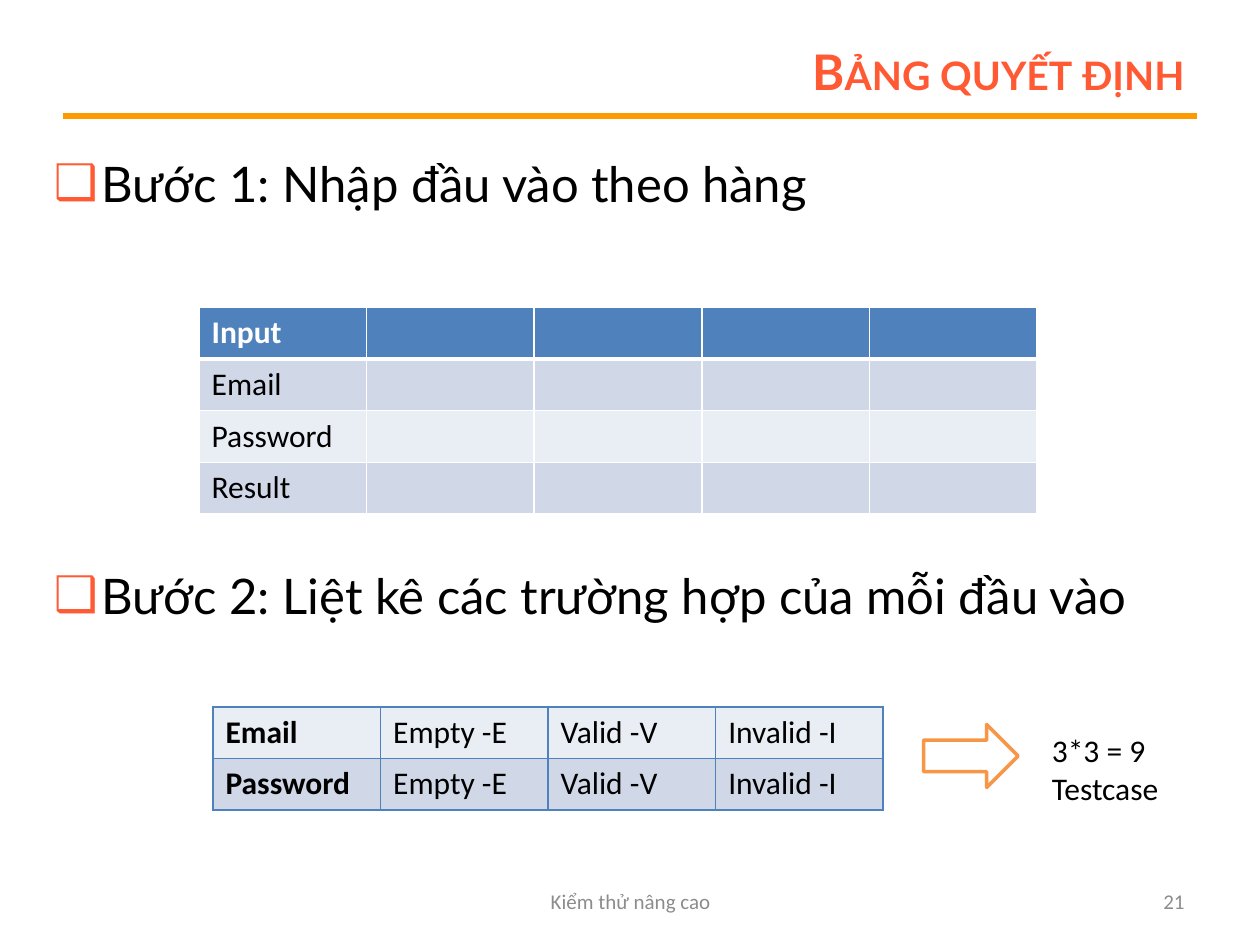
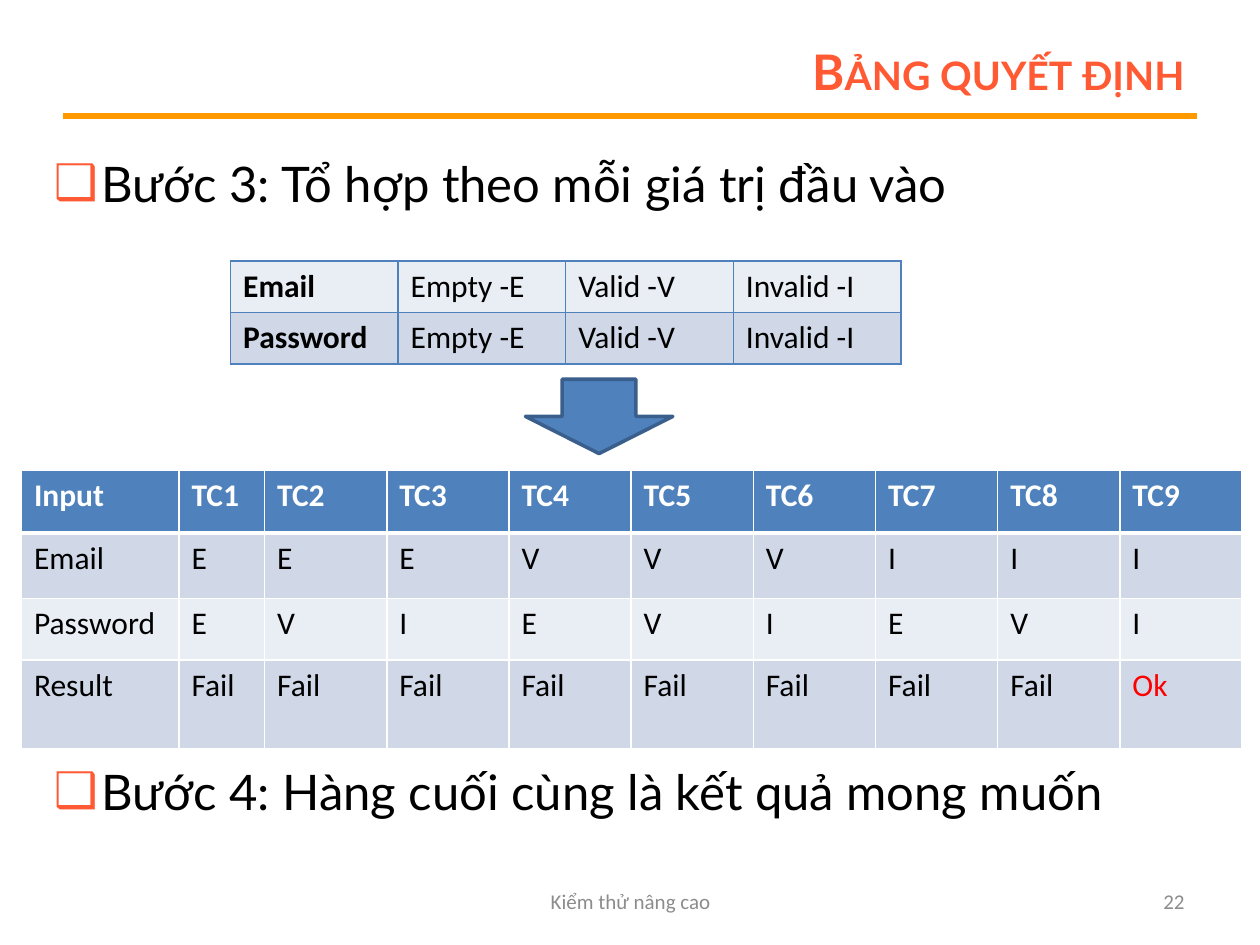
import pptx
import pptx.util
import pptx.dml.color
import pptx.enum.shapes
import pptx.enum.text
import pptx.oxml.ns
from lxml import etree

Inches, Pt = pptx.util.Inches, pptx.util.Pt
RGBColor = pptx.dml.color.RGBColor
Align = pptx.enum.text.PP_ALIGN
Anchor = pptx.enum.text.MSO_ANCHOR
Shape = pptx.enum.shapes.MSO_SHAPE

CORAL = RGBColor(0xFF, 0x5A, 0x33)
ORANGE = RGBColor(0xFF, 0x99, 0x00)
ARROW_ORANGE = RGBColor(0xF7, 0x96, 0x46)
BLUE = RGBColor(0x4F, 0x81, 0xBD)
DARK_BLUE = RGBColor(0x3A, 0x5F, 0x8C)
BAND_DARK = RGBColor(0xD0, 0xD8, 0xE8)
BAND_LIGHT = RGBColor(0xE9, 0xED, 0xF4)
GRAY = RGBColor(0x8C, 0x8C, 0x8C)
RED = RGBColor(0xFF, 0x00, 0x00)
BLACK = RGBColor(0, 0, 0)
WHITE = RGBColor(0xFF, 0xFF, 0xFF)

HEADING_FONT, TEXT_FONT = "Lato", "Calibri"
WIDTH, HEIGHT = 10, 7.5
MARGIN = WIDTH / 20
TITLE = "Bảng quyết định"
FOOTER = "Kiểm thử nâng cao"
STEP_SIZE = 28
STEP_GAP = 0.2 * STEP_SIZE
STEP_LINE = 1.2 * STEP_SIZE

INPUTS = ["Email", "Password"]
CASES = ["Empty -E", "Valid -V", "Invalid -I"]
CASE_TABLE = [[name] + CASES for name in INPUTS]
EMPTY_TABLE = [[name] + [""] * 4 for name in ["Input"] + INPUTS + ["Result"]]

CODES = [case[-1] for case in CASES]
PAIRS = [(email, password) for email in CODES for password in CODES]
DECISION_TABLE = [
    ["Input"] + [f"TC{number}" for number in range(1, len(PAIRS) + 1)],
    ["Email"] + [email for email, _ in PAIRS],
    ["Password"] + [password for _, password in PAIRS],
    ["Result"] + ["Ok" if pair == ("I", "I") else "Fail" for pair in PAIRS],
]

COLUMN, ROW = 1.33, 0.41
# Each step: text and the space before it in points
SLIDES = [
    {
        "number": 21,
        "steps": [("Bước 1: Nhập đầu vào theo hàng", STEP_GAP),
                  ("Bước 2: Liệt kê các trường hợp của mỗi đầu vào", 6 * STEP_LINE)],
        "tables": [(1.58, 2.44, EMPTY_TABLE, [COLUMN] * 5, [ROW] * 4, True),
                   (1.69, 5.61, CASE_TABLE, [COLUMN] * 4, [ROW] * 2, False)],
        "arrow": (Shape.RIGHT_ARROW, (7.33, 5.75, 0.75, 0.5), WHITE, ARROW_ORANGE),
        "note": ("3*3 = 9 Testcase", (8.25, 5.75, 1.56, 0.71)),
    },
    {
        "number": 22,
        "steps": [("Bước 3: Tổ hợp theo mỗi giá trị đầu vào", STEP_GAP),
                  ("Bước 4: Hàng cuối cùng là kết quả mong muốn", 313.6)],
        "tables": [(0.17, 3.73, DECISION_TABLE, [1.25, 0.68] + [0.97] * 8,
                    [0.5, 0.52, 0.49, 0.7], True),
                   (1.83, 2.07, CASE_TABLE, [COLUMN] * 4, [ROW] * 2, False)],
        "arrow": (Shape.DOWN_ARROW, (4.17, 3.01, 1.17, 0.59), BLUE, DARK_BLUE),
    },
]


def add_element(parent, tag, **attributes):
    return etree.SubElement(parent, pptx.oxml.ns.qn(tag), **attributes)


def set_font(paragraph, name, size, color, bold=False):
    font = paragraph.font
    font.name, font.size, font.bold = name, Pt(size), bold
    font.color.rgb = color


def add_text(slide, text, box, name, size, color, align=Align.LEFT,
             anchor=Anchor.MIDDLE, bold=False):
    frame = slide.shapes.add_textbox(*map(Inches, box)).text_frame
    frame.word_wrap = True
    frame.vertical_anchor = anchor
    paragraph = frame.paragraphs[0]
    paragraph.text = text
    paragraph.alignment = align
    set_font(paragraph, name, size, color, bold)
    return paragraph


def add_frame(slide, number):
    """Add the title, its rule and the footer."""
    rule = slide.shapes.add_connector(
        pptx.enum.shapes.MSO_CONNECTOR.STRAIGHT,
        *map(Inches, (MARGIN, 0.92, WIDTH - MARGIN, 0.92)))
    rule.line.color.rgb = ORANGE
    rule.line.width = Pt(3)
    add_element(rule._element.spPr, "a:effectLst")

    title = add_text(slide, TITLE, (2.25, 0.3, 7.25, 0.53), HEADING_FONT, 28,
                     CORAL, Align.RIGHT, bold=True)
    title.runs[0].font._element.set("cap", "small")
    for text, left, width, align in [(FOOTER, 3.42, 3.17, Align.CENTER),
                                     (str(number), 7.17, 2.33, Align.RIGHT)]:
        add_text(slide, text, (left, 6.95, width, 0.4), TEXT_FONT, 12, GRAY, align)


def add_steps(slide, steps):
    box = slide.shapes.add_textbox(*map(Inches, (0.33, 1.17, 9.17, 6.18)))
    frame = box.text_frame
    frame.word_wrap = True
    for index, (text, space) in enumerate(steps):
        paragraph = frame.add_paragraph() if index else frame.paragraphs[0]
        paragraph.text = text
        paragraph.space_before = Pt(space)
        properties = paragraph._p.get_or_add_pPr()
        properties.set("marL", str(Inches(0.38)))
        properties.set("indent", str(-Inches(0.38)))
        color = add_element(properties, "a:buClr")
        add_element(color, "a:srgbClr", val=str(CORAL))
        add_element(properties, "a:buFont", typeface="Arial")
        add_element(properties, "a:buChar", char="❑")
        set_font(paragraph, HEADING_FONT, STEP_SIZE, BLACK)


def set_borders(cell, color, top, bottom):
    properties = cell._tc.get_or_add_tcPr()
    for side, width in [("L", 1), ("R", 1), ("T", top), ("B", bottom)]:
        line = add_element(properties, f"a:ln{side}", w=str(Pt(width)))
        fill = add_element(line, "a:solidFill")
        add_element(fill, "a:srgbClr", val=str(color))


def add_grid(slide, left, top, rows, widths, heights, has_header):
    """Add a table whose first row is a header or whose first column is bold."""
    table = slide.shapes.add_table(
        len(rows), len(widths),
        *map(Inches, (left, top, sum(widths), sum(heights)))).table
    table.first_row = has_header
    table.horz_banding = False
    for column, width in zip(table.columns, widths):
        column.width = Inches(width)
    for row_index, (values, height) in enumerate(zip(rows, heights)):
        table.rows[row_index].height = Inches(height)
        is_header = has_header and row_index == 0
        band = BAND_DARK if row_index % 2 else BAND_LIGHT
        for column_index, value in enumerate(values):
            cell = table.cell(row_index, column_index)
            set_borders(cell, WHITE if has_header else BLUE,
                        3 if has_header and row_index == 1 else 1,
                        3 if is_header else 1)
            cell.fill.solid()
            cell.fill.fore_color.rgb = BLUE if is_header else band
            paragraph = cell.text_frame.paragraphs[0]
            paragraph.text = value
            color = WHITE if is_header else RED if value == "Ok" else BLACK
            bold = is_header or (not has_header and column_index == 0)
            set_font(paragraph, TEXT_FONT, 18, color, bold)


def add_arrow(slide, kind, box, fill, line):
    arrow = slide.shapes.add_shape(kind, *map(Inches, box))
    arrow.shadow.inherit = False
    arrow.fill.solid()
    arrow.fill.fore_color.rgb = fill
    arrow.line.color.rgb = line
    arrow.line.width = Pt(2)


def main():
    presentation = pptx.Presentation()
    presentation.slide_width = Inches(WIDTH)
    presentation.slide_height = Inches(HEIGHT)
    for content in SLIDES:
        slide = presentation.slides.add_slide(presentation.slide_layouts[6])
        add_frame(slide, content["number"])
        add_steps(slide, content["steps"])
        for table in content["tables"]:
            add_grid(slide, *table)
        add_arrow(slide, *content["arrow"])
        if "note" in content:
            add_text(slide, *content["note"], TEXT_FONT, 18, BLACK, anchor=Anchor.TOP)
    presentation.save("out.pptx")


if __name__ == "__main__":
    main()
